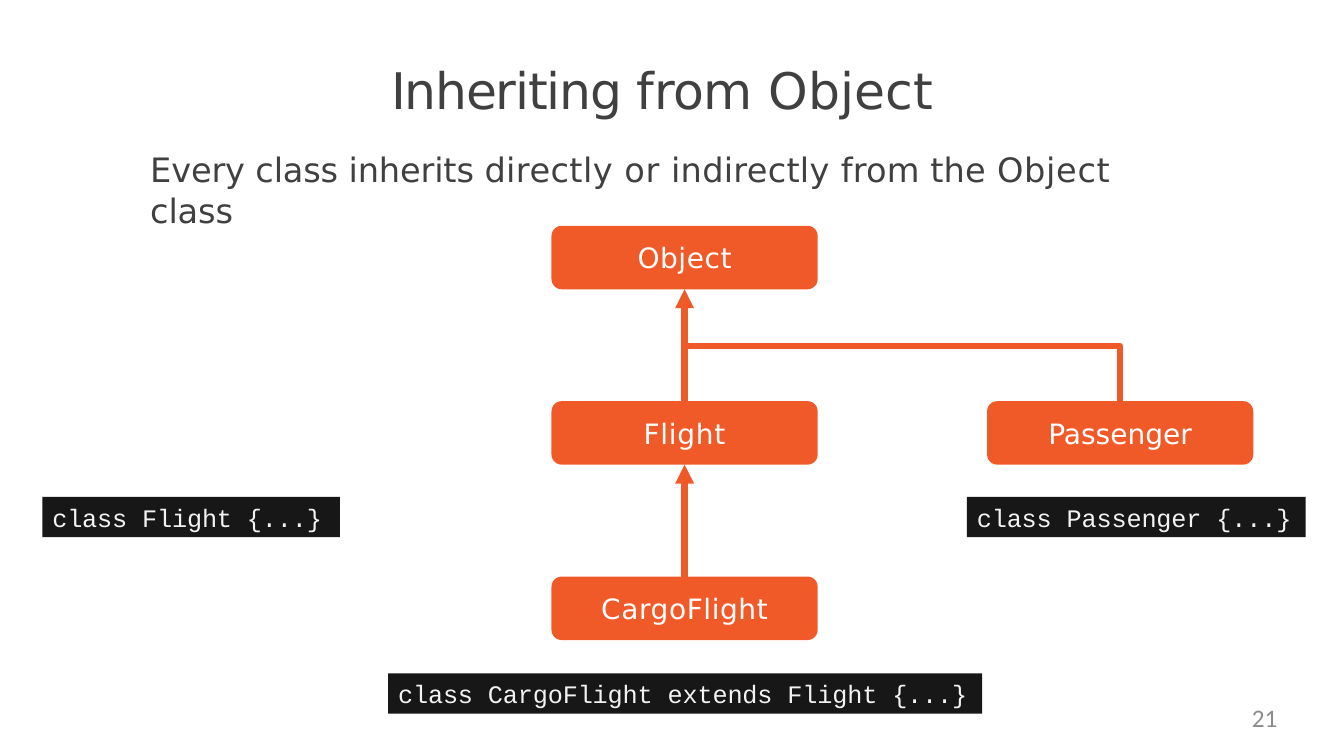
from lxml import etree
from pptx import Presentation
from pptx.dml.color import RGBColor
from pptx.enum.shapes import MSO_CONNECTOR, MSO_SHAPE
from pptx.enum.text import MSO_ANCHOR, MSO_AUTO_SIZE, PP_ALIGN
from pptx.oxml.ns import qn
from pptx.util import Inches, Pt

RECT, ROUNDED = MSO_SHAPE.RECTANGLE, MSO_SHAPE.ROUNDED_RECTANGLE
STRAIGHT = MSO_CONNECTOR.STRAIGHT
TOP, MIDDLE = MSO_ANCHOR.TOP, MSO_ANCHOR.MIDDLE
LEFT, CENTER, RIGHT = PP_ALIGN.LEFT, PP_ALIGN.CENTER, PP_ALIGN.RIGHT
NO_FIT = MSO_AUTO_SIZE.NONE

ORANGE = RGBColor(0xF0, 0x5A, 0x28)
BLACK = RGBColor(0x17, 0x17, 0x17)
DARK = RGBColor(0x40, 0x40, 0x40)
GRAY = RGBColor(0x8C, 0x8C, 0x8C)
PALE = RGBColor(0xF2, 0xF2, 0xF2)
WHITE = RGBColor(0xFF, 0xFF, 0xFF)

TITLE = {"name": "DejaVu Sans", "size": Pt(36)}
BODY = {"name": "DejaVu Sans", "size": Pt(24)}
NODE = {"name": "DejaVu Sans", "size": Pt(20)}
CODE = {"name": "Courier New", "size": Pt(18)}
NUMBER = {"name": "Calibri", "size": Pt(18)}

NODE_W, NODE_H = 2.64, 0.63
MAIN_X, SIDE_X = 6.79, 11.11
ROW_TOP, ROW_PITCH = 2.24, 1.74
BRANCH_Y = 3.43


class Deck:
    def __init__(self, prs):
        self.s = prs.slides.add_slide(prs.slide_layouts[1])

    def add_text(self, sp, runs, font, color, align=LEFT, anchor=TOP, left=0, top=0):
        tf = sp.text_frame
        frame = {"word_wrap": True, "auto_size": NO_FIT, "vertical_anchor": anchor,
                 "margin_left": Inches(left), "margin_top": Inches(top),
                 "margin_right": 0, "margin_bottom": 0}
        for key, value in frame.items():
            setattr(tf, key, value)
        p = tf.paragraphs[0]
        p.alignment = align
        for text, spacing in runs:
            r = p.add_run()
            r.text = text
            for key, value in font.items():
                setattr(r.font, key, value)
            r.font.color.rgb = color
            r._r.get_or_add_rPr().set("spc", str(round(spacing * 100)))
        return p

    def placeholder(self, index, box, runs, font):
        sp = self.s.placeholders[index]
        for key, value in zip(("left", "top", "width", "height"), box):
            setattr(sp, key, Inches(value))
        p = self.add_text(sp, runs, font, DARK, top=0.02)
        p.space_before = Pt(0)
        pPr = p._p.get_or_add_pPr()
        pPr.set("marL", "0")
        pPr.set("indent", "0")
        etree.SubElement(pPr, qn("a:buNone"))

    def box(self, shape, x, y, w, h, fill):
        sp = self.s.shapes.add_shape(shape, Inches(x), Inches(y), Inches(w), Inches(h))
        sp.shadow.inherit = False
        sp.fill.solid()
        sp.fill.fore_color.rgb = fill
        sp.line.fill.background()
        return sp

    def node(self, x, row, text, spacing):
        y = ROW_TOP + row * ROW_PITCH
        sp = self.box(ROUNDED, x - NODE_W / 2, y, NODE_W, NODE_H, ORANGE)
        sp.adjustments[0] = 0.16
        self.add_text(sp, [(text, spacing)], NODE, WHITE, CENTER, MIDDLE)

    def code(self, x, y, w, text):
        sp = self.box(RECT, x, y, w, 0.4, BLACK)
        self.add_text(sp, [(text, -0.1)], CODE, PALE, LEFT, MIDDLE, left=0.1)

    def stroke(self, line):
        line.color.rgb = ORANGE
        line.width = Pt(4.5)

    def arrow(self, x, row):
        y = ROW_TOP + row * ROW_PITCH
        cn = self.s.shapes.add_connector(
            STRAIGHT, Inches(x), Inches(y), Inches(x), Inches(y - ROW_PITCH + NODE_H))
        self.stroke(cn.line)
        spPr = cn._element.spPr
        etree.SubElement(spPr.find(qn("a:ln")), qn("a:tailEnd"), type="triangle")
        etree.SubElement(spPr, qn("a:effectLst"))

    def branch(self, points):
        start, *rest = [(Inches(x), Inches(y)) for x, y in points]
        builder = self.s.shapes.build_freeform(*start)
        builder.add_line_segments(rest, close=False)
        sp = builder.convert_to_shape()
        sp.shadow.inherit = False
        sp.fill.background()
        self.stroke(sp.line)

    def number(self, text):
        sp = self.s.shapes.add_textbox(Inches(9.6), Inches(6.97), Inches(3.07), Inches(0.38))
        self.add_text(sp, [(text, 0)], NUMBER, GRAY, RIGHT)


def main():
    prs = Presentation()
    prs.slide_width, prs.slide_height = Inches(13.33), Inches(7.5)
    deck = Deck(prs)

    deck.placeholder(0, (3.88, 0.57, 5.6, 0.63),
                     [("Inheriting ", -0.9), ("from ", -0.3), ("Object", 0.2)], TITLE)
    deck.placeholder(1, (1.49, 1.46, 10.2, 0.85),
                     [("Every class inherits ", -0.1), ("directly ", 0.3), ("or ", 0.4),
                      ("indirectly ", 0.2), ("from the ", 0.1), ("Object ", 0.5),
                      ("class", -0.1)], BODY)

    for row in (1, 2):
        deck.arrow(MAIN_X, row)
    deck.branch([(SIDE_X, ROW_TOP + ROW_PITCH), (SIDE_X, BRANCH_Y), (MAIN_X, BRANCH_Y)])

    for x, row, text, spacing in [(MAIN_X, 0, "Object", 0.4), (MAIN_X, 1, "Flight", 0.5),
                                  (SIDE_X, 1, "Passenger", 0), (MAIN_X, 2, "CargoFlight", 0.4)]:
        deck.node(x, row, text, spacing)

    for x, y, w, text in [(0.42, 4.93, 2.95, "class Flight {...}"),
                          (9.59, 4.93, 3.36, "class Passenger {...}"),
                          (3.85, 6.68, 5.89, "class CargoFlight extends Flight {...}")]:
        deck.code(x, y, w, text)

    deck.number("21")
    prs.save("out.pptx")


if __name__ == "__main__":
    main()
